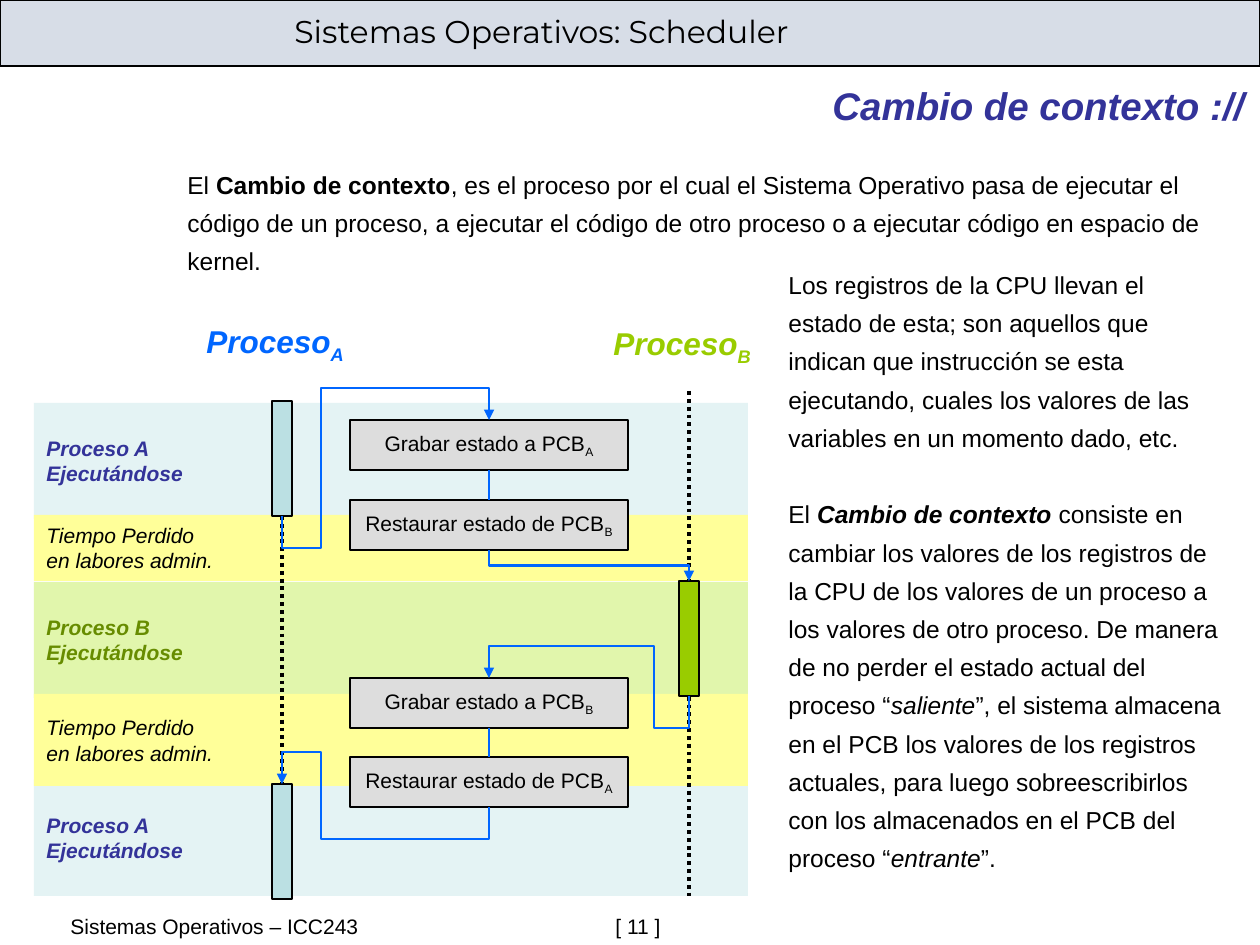
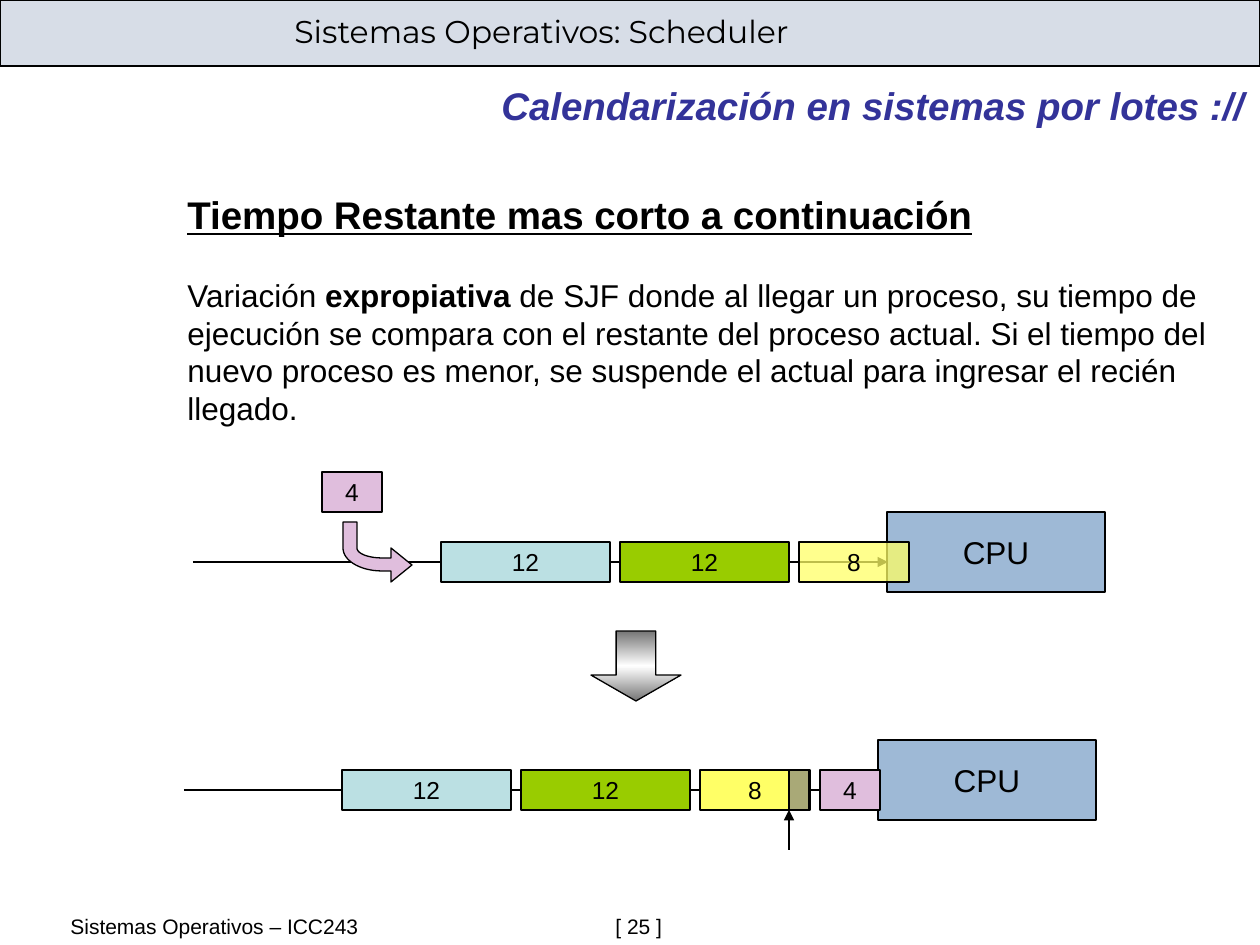
from math import cos, radians, sin

from lxml import etree
from pptx import Presentation
from pptx.dml.color import RGBColor
from pptx.enum.dml import MSO_LINE
from pptx.enum.shapes import MSO_CONNECTOR, MSO_SHAPE
from pptx.enum.text import MSO_ANCHOR, PP_ALIGN
from pptx.oxml.ns import qn
from pptx.util import Emu, Pt

SCALE = 914400 / 126
PAGE_WIDTH, PAGE_HEIGHT = 1260, 945

RECT, DOWN_ARROW = MSO_SHAPE.RECTANGLE, MSO_SHAPE.DOWN_ARROW
STRAIGHT, ELBOW = MSO_CONNECTOR.STRAIGHT, MSO_CONNECTOR.ELBOW
LEFT, CENTER, RIGHT = PP_ALIGN.LEFT, PP_ALIGN.CENTER, PP_ALIGN.RIGHT
TOP, MIDDLE = MSO_ANCHOR.TOP, MSO_ANCHOR.MIDDLE
DOTTED = MSO_LINE.ROUND_DOT
TOP_SIDE, BOTTOM_SIDE = 0, 2

BLACK, NAVY, BLUE = "000000", "333399", "0066FF"
HEADER, GRAY, STEEL = "D7DDE7", "DDDDDD", "9EB9D6"
AQUA, GREEN, YELLOW, PINK = "BBE0E3", "99CC00", "FFFF66", "E0BEDD"
PALE_AQUA, PALE_GREEN, PALE_YELLOW, OLIVE = "E4F3F4", "E1F6AC", "FFFF99", "678C00"

BOLD, ITALIC, PLAIN = {"bold": True}, {"italic": True}, {}
SUBSCRIPT = {"subscript": True}


def px(length):
    return Emu(round(length * SCALE))


def color(code):
    return RGBColor.from_string(code)


def write(box, paras, size=12, font="Arial", ink=BLACK, align=LEFT, anchor=TOP,
          wrap=True, spacing=None, gap=0, tab=None, **style):
    """Fill a box with paragraphs, each a list of (text, format) spans."""
    frame = box.text_frame
    frame.word_wrap = wrap
    frame.vertical_anchor = anchor
    for index, spans in enumerate(paras):
        para = frame.paragraphs[0] if index == 0 else frame.add_paragraph()
        para.alignment = align
        if spacing:
            para.line_spacing = spacing
        if index and gap:
            para.space_before = Pt(gap)
        if tab:
            tabs = etree.SubElement(para._p.get_or_add_pPr(), qn("a:tabLst"))
            etree.SubElement(tabs, qn("a:tab"), pos=str(px(tab)), algn="l")
        for text, extra in spans:
            look = {**style, **extra}
            span = para.add_run()
            span.text = text
            span.font.name = font
            span.font.size = Pt(look.get("size", size))
            span.font.color.rgb = color(ink)
            span.font.bold = look.get("bold", False)
            span.font.italic = look.get("italic", False)
            span.font.underline = look.get("underline", False)
            if look.get("subscript"):
                span.font._element.set("baseline", "-25000")


def add_text(page, left, top, width, height, paras, **format):
    box = page.shapes.add_textbox(px(left), px(top), px(width), px(height))
    write(box, paras, **format)
    return box


def paint(shape, fill, outline=BLACK, opacity=100):
    shape.shadow.inherit = False
    shape.fill.solid()
    shape.fill.fore_color.rgb = color(fill)
    if opacity < 100:
        tint = shape.element.spPr.find(".//" + qn("a:srgbClr"))
        etree.SubElement(tint, qn("a:alpha"), val=str(opacity * 1000))
    if outline:
        shape.line.color.rgb = color(outline)
        shape.line.width = Pt(0.75)
    else:
        shape.line.fill.background()


def add_box(page, left, top, width, height, fill, outline=BLACK, opacity=100, kind=RECT):
    box = page.shapes.add_shape(kind, px(left), px(top), px(width), px(height))
    paint(box, fill, outline, opacity)
    return box


def style_line(line, ink, weight, dash=None, arrow=False):
    line.line.color.rgb = color(ink)
    line.line.width = Pt(weight)
    if dash:
        line.line.dash_style = dash
    properties = line.element.spPr
    if arrow:
        etree.SubElement(properties.get_or_add_ln(), qn("a:tailEnd"), type="triangle")
    etree.SubElement(properties, qn("a:effectLst"))


def add_line(page, x1, y1, x2, y2, ink=BLACK, weight=0.75, **format):
    line = page.shapes.add_connector(STRAIGHT, px(x1), px(y1), px(x2), px(y2))
    style_line(line, ink, weight, **format)
    return line


def join(page, upper, lower, ink, weight, kind=STRAIGHT, **format):
    """Link the bottom of one box with the top of another."""
    link = page.shapes.add_connector(kind, 0, 0, 0, 0)
    link.begin_connect(upper, BOTTOM_SIDE)
    link.end_connect(lower, TOP_SIDE)
    style_line(link, ink, weight, **format)
    return link


def bend(page, source, target, column=None, lead=32):
    """Leave source downwards and enter target from above, via a column if given."""
    link = join(page, source, target, BLUE, 1.5, kind=ELBOW, arrow=True)
    x1, y1, x2, y2 = link.begin_x, link.begin_y, link.end_x, link.end_y
    across, down = x2 - x1, y2 - y1
    if column is None:
        bends = [0.5]
    else:
        drop = px(lead) / down
        bends = [drop, (px(column) - x1) / across, 1 - drop]

    # The preset runs sideways, so it is turned a quarter about its centre
    link.width, link.height = Emu(abs(down)), Emu(abs(across))
    link.left = Emu((x1 + x2 - abs(down)) // 2)
    link.top = Emu((y1 + y2 - abs(across)) // 2)
    frame = link.element.spPr.find(qn("a:xfrm"))
    frame.set("rot", "5400000")
    frame.set("flipH", str(int(down < 0)))
    frame.set("flipV", str(int(across > 0)))

    geometry = link.element.spPr.find(qn("a:prstGeom"))
    geometry.set("prst", f"bentConnector{len(bends) + 2}")
    values = geometry.find(qn("a:avLst"))
    if values is None:
        values = etree.SubElement(geometry, qn("a:avLst"))
    for number, value in enumerate(bends, 1):
        etree.SubElement(values, qn("a:gd"), name=f"adj{number}",
                         fmla=f"val {round(value * 100000)}")


def add_page(deck, title, number):
    """Blank page with the shared header, title and footer."""
    page = deck.slides.add_slide(deck.slide_layouts[6])
    add_box(page, 0, 0, PAGE_WIDTH, 66, HEADER)
    add_text(page, 282, 6, 973, 50, [[("Sistemas Operativos: Scheduler", PLAIN)]],
             size=18, font="Montserrat")
    add_text(page, 184, 76, 1073, 59, [[(title + " ://", PLAIN)]],
             size=22, ink=NAVY, align=RIGHT, bold=True, italic=True)
    add_text(page, 58, 907, 1155, 38,
             [[(f"Sistemas Operativos – ICC243\t[ {number} ]", PLAIN)]], tab=545)
    return page


def context_diagram(page, left, top, width):
    """Timeline of two processes exchanging the CPU."""
    # Time bands
    running_a = ("Proceso A", "Ejecutándose")
    running_b = ("Proceso B", "Ejecutándose")
    lost = ("Tiempo Perdido", "en labores admin.")
    for y, height, fill, ink, words in [
        (266, 116, PALE_GREEN, OLIVE, running_b),
        (464, 116, PALE_AQUA, NAVY, running_a),
        (87, 116, PALE_AQUA, NAVY, running_a),
        (378, 92, PALE_YELLOW, BLACK, lost),
        (199, 66, PALE_YELLOW, BLACK, lost),
    ]:
        band = add_box(page, left, top + y, width, height, fill, outline=None)
        write(band, [[(word, PLAIN)] for word in words], ink=ink, anchor=MIDDLE,
              italic=True, bold=words is not lost)

    # Process names
    for x, y, letter, ink in [(160, 0, "A", BLUE), (567, 2, "B", GREEN)]:
        add_text(page, left + x, top + y, 163, 55,
                 [[("Proceso", PLAIN), (letter, SUBSCRIPT)]],
                 size=18, ink=ink, wrap=False, bold=True, italic=True)

    # Execution bars and waiting lines
    first_a, last_a = [add_box(page, left + 238, top + y, 20, 115, AQUA) for y in (85, 468)]
    join(page, first_a, last_a, BLACK, 2.25, dash=DOTTED)
    add_line(page, left + 655, top + 75, left + 655, top + 580, weight=2.25, dash=DOTTED)
    bar_b = add_box(page, left + 645, top + 265, 20, 115, GREEN)

    # Save and restore steps
    steps = []
    for y, action, letter in [
        (104, "Grabar estado a PCB", "A"), (184, "Restaurar estado de PCB", "B"),
        (362, "Grabar estado a PCB", "B"), (441, "Restaurar estado de PCB", "A"),
    ]:
        step = add_box(page, left + 316, top + y, 278, 50, GRAY)
        write(step, [[(action, PLAIN), (letter, SUBSCRIPT)]],
              align=CENTER, anchor=MIDDLE, wrap=False)
        steps.append(step)
    save_a, restore_b, save_b, restore_a = steps

    # Flow of control
    bend(page, first_a, save_a, column=left + 287)
    join(page, save_a, restore_b, BLUE, 1.5)
    bend(page, restore_b, bar_b)
    bend(page, bar_b, save_b, column=left + 620)
    join(page, save_b, restore_a, BLUE, 1.5)
    bend(page, restore_a, last_a, column=left + 287)


def context_page(deck):
    page = add_page(deck, "Cambio de contexto", 11)
    add_text(page, 175, 155, 1085, 127, [[
        ("El ", PLAIN), ("Cambio de contexto", BOLD),
        (", es el proceso por el cual el Sistema Operativo pasa de ejecutar el código "
         "de un proceso, a ejecutar el código de otro proceso o a ejecutar código en "
         "espacio de kernel.", PLAIN),
    ]], size=14, spacing=1.3)
    add_text(page, 776, 255, 460, 663, [
        [("Los registros de la CPU llevan el estado de esta; son aquellos que indican que "
          "instrucción se esta ejecutando, cuales los valores de las variables en un "
          "momento dado, etc.", PLAIN)],
        [("El ", PLAIN), ("Cambio de contexto", {**BOLD, **ITALIC}),
         (" consiste en cambiar los valores de los registros de la CPU de los valores de "
          "un proceso a los valores de otro proceso. De manera de no perder el estado "
          "actual del proceso “", PLAIN), ("saliente", ITALIC),
         ("”, el sistema almacena en el PCB los valores de los registros actuales, para "
          "luego sobreescribirlos con los almacenados en el PCB del proceso “", PLAIN),
         ("entrante", ITALIC), ("”.", PLAIN)],
    ], size=14, spacing=1.3, gap=22)
    context_diagram(page, 34, 316, 714)


def add_job(page, left, top, time, opacity=100, fill=None):
    """Box for a job, as wide as its time asks; returns its width."""
    width, usual_fill = {"12": (169, AQUA), "8": (110, YELLOW), "4": (60, PINK)}[time]
    job = add_box(page, left, top, width, 40, fill or usual_fill, opacity=opacity)
    write(job, [[(time, PLAIN)]], size=14, align=CENTER, anchor=MIDDLE, wrap=False)
    return width


def job_queue(page, left, top, start, jobs):
    """Line of jobs in front of a CPU."""
    add_line(page, left, top + 50, left + 695, top + 50, arrow=True)
    cpu = add_box(page, left + 694, top, 218, 80, STEEL)
    write(cpu, [[("CPU", PLAIN)]], size=18, align=CENTER, anchor=MIDDLE, wrap=False)
    x = left + start
    for time, format in jobs:
        x += add_job(page, x, top + 30, time, **format) + 10


def entry_arrow(page, left, top):
    """Curved arrow that goes down and then right."""
    def quarter(radius_x, radius_y, angles):
        return [(39 + radius_x * cos(radians(a)), 26 + radius_y * sin(radians(a)))
                for a in angles]

    points = [(69, 43), (48, 60), (48, 49), *quarter(39, 23, range(90, 181, 6)),
              (0, 0), (14, 0), *quarter(25, 10, range(180, 89, -6)), (48, 36), (48, 26)]
    outline = [(px(left + x), px(top + y)) for x, y in points]
    builder = page.shapes.build_freeform(*outline[0])
    builder.add_line_segments(outline[1:], close=True)
    paint(builder.convert_to_shape(), PINK)


def next_step_arrow(page, left, top):
    """Down arrow with a metallic gradient."""
    arrow = add_box(page, left, top, 90, 70, GRAY, kind=DOWN_ARROW)
    arrow.adjustments[0], arrow.adjustments[1] = 0.44, 0.37
    arrow.fill.gradient()
    arrow.fill.gradient_angle = 90
    stops = arrow.element.spPr.find(".//" + qn("a:gsLst"))
    for stop in list(stops):
        stops.remove(stop)
    for place, code in [(0, "767676"), (50, "FFFFFF"), (100, "767676")]:
        stop = etree.SubElement(stops, qn("a:gs"), pos=str(place * 1000))
        etree.SubElement(stop, qn("a:srgbClr"), val=code)


def batch_page(deck):
    page = add_page(deck, "Calendarización en sistemas por lotes", 25)
    add_text(page, 175, 185, 1050, 286, [
        [("Tiempo Restante mas corto a continuación",
          {"size": 22, "bold": True, "underline": True})],
        [("Variación ", PLAIN), ("expropiativa", BOLD),
         (" de SJF donde al llegar un proceso, su tiempo de ejecución se compara con el "
          "restante del proceso actual. Si el tiempo del nuevo proceso es menor, se "
          "suspende el actual para ingresar el recién llegado.", PLAIN)],
    ], size=18, gap=22)

    # Before: a short job arrives
    green = {"fill": GREEN}
    job_queue(page, 193, 512, 248, [("12", PLAIN), ("12", green), ("8", {"opacity": 74})])
    add_job(page, 322, 472, "4")
    entry_arrow(page, 343, 522)
    next_step_arrow(page, 591, 631)

    # After: the short job goes first, part of the other is already done
    job_queue(page, 184, 740, 158, [("12", PLAIN), ("12", green), ("8", PLAIN), ("4", PLAIN)])
    add_box(page, 789, 770, 20, 40, "808080", opacity=67)
    add_line(page, 789, 850, 789, 810, arrow=True)


def main():
    deck = Presentation()
    deck.slide_width, deck.slide_height = px(PAGE_WIDTH), px(PAGE_HEIGHT)
    context_page(deck)
    batch_page(deck)
    deck.save("out.pptx")


if __name__ == "__main__":
    main()
